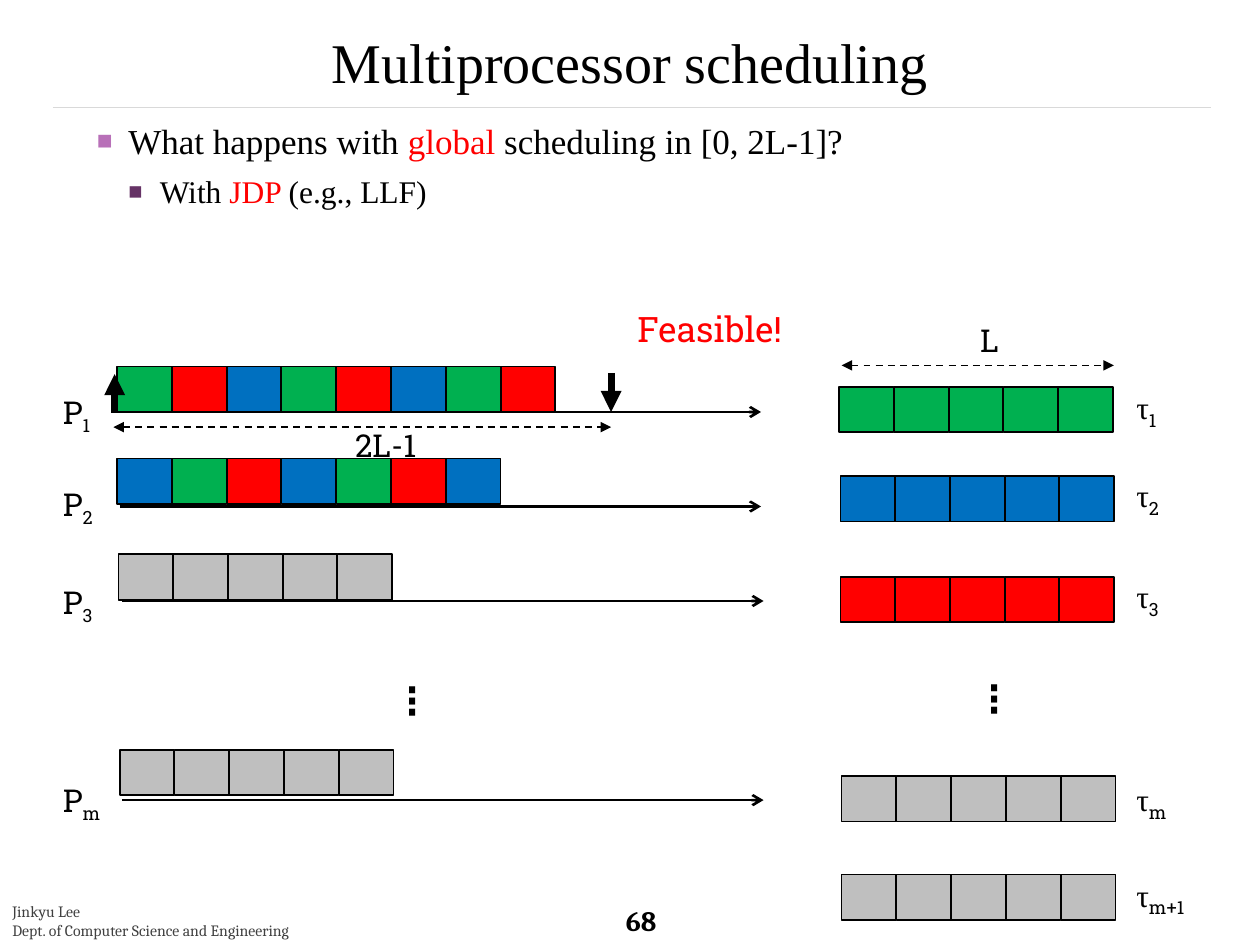
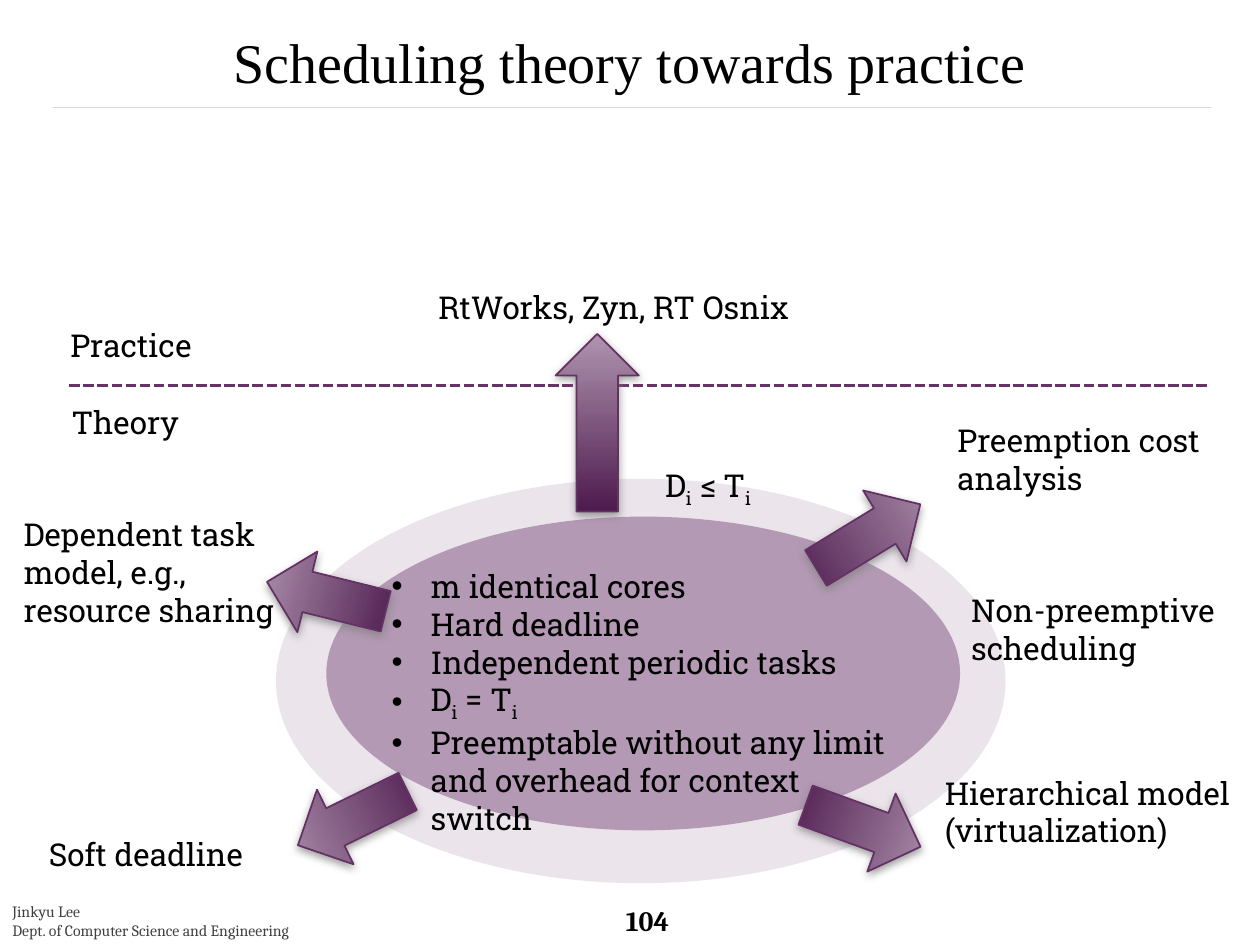
"""Build two slides on multiprocessor scheduling and its way into practice."""
from lxml.etree import SubElement
from pptx import Presentation
from pptx.dml.color import RGBColor
from pptx.enum.shapes import MSO_CONNECTOR, MSO_SHAPE
from pptx.enum.text import MSO_ANCHOR, PP_ALIGN
from pptx.oxml.ns import qn
from pptx.util import Inches, Pt

COLORS = {
    "black": "000000", "footer": "404040", "rule": "D9D9D9",
    "green": "00B050", "red": "FF0000", "blue": "0070C0", "gray": "BFBFBF",
    "plum": "663366", "orchid": "B870B8", "edge": "653165",
    "deep": "4D1A4D", "pale": "AF94AF", "shade": "808080",
}
SLAB, SERIF, CAMBRIA = "Roboto Slab", "Times New Roman", "Cambria"
COLUMNS, ROWS = 100, 75
CELL_WIDTH, CELL_HEIGHT, CELL_PITCH = 4.33, 3.6, 4.35
AXIS_LENGTH = 50.9
SCHEDULES = [
    ("1", 30.7, 9.5, 32.7, 9.3, 29.1, "green red blue green red blue green red"),
    ("2", 38, 9.5, 40.2, 9.3, 36.4, "blue green red blue green red blue"),
    ("3", 45.8, 9.7, 47.7, 9.4, 44, "gray " * 5),
    ("m", 61.5, 9.7, 63.5, 9.5, 59.5, "gray " * 5),
]
TASKS = [
    ("1", 30.3, 66.6, 30.7, "green"),
    ("2", 37.3, 66.7, 37.8, "blue"),
    ("3", 45.3, 66.7, 45.8, "red"),
    ("m", 61.4, 66.8, 61.6, "gray"),
    ("m+1", 69, 66.8, 69.4, "gray"),
]
OUTWARD_ARROWS = [
    (24.7, 60.1, 9.7, 63.9), (22.6, 42.5, 9.7, 103.9), (44.1, 26.5, 14.1, 180),
    (65.6, 37.7, 9.7, 238.6), (65.2, 60.7, 9.7, 289.9),
]
ASSUMPTIONS = [
    "m identical cores", "Hard deadline", "Independent periodic tasks",
    "D|i| = T|i", "Preemptable without any limit and overhead for context switch",
]
PRACTICE_LABELS = [
    (4.6, 25.4, 23.4, "Practice"),
    (4.7, 31.5, 23.4, "Theory"),
    (2.9, 65.8, 18.2, "Soft deadline"),
    (0.9, 40.4, 22.7, "Dependent task model, e.g., resource sharing"),
    (74, 60.9, 24.8, "Hierarchical model (virtualization)"),
    (75, 32.9, 22.7, "Preemption cost analysis"),
    (33.8, 22.4, 40.2, "RtWorks, Zyn, RT Osnix"),
    (51.8, 36.5, 22.7, "D|i| ≤ T|i"),
    (76.1, 46.4, 22.7, "Non-preemptive scheduling"),
]


def rgb(name):
    """Return a palette colour."""
    return RGBColor.from_string(COLORS[name])


def write(paragraph, text, size=18, font=SLAB, color="black", bold=False, accent=None):
    """Write text; parts between bars are subscripts, or take the accent colour."""
    for index, part in enumerate(text.split("|")):
        if not part:
            continue
        marked = index % 2 == 1
        run = paragraph.add_run()
        run.text = part
        run.font.size = Pt(size)
        run.font.bold = bold
        run.font.name = SLAB if marked and not accent else font
        run.font.color.rgb = rgb(accent if marked and accent else color)
        if marked and not accent:
            run._r.get_or_add_rPr().set("baseline", "-25000")


class Deck:
    """Hold the shared style and the current slide."""

    def __init__(self):
        """Start an empty presentation."""
        self.deck = Presentation()
        self.deck.slide_width, self.deck.slide_height = Inches(10), Inches(7.5)
        self.slide = None

    def place(self, x, y):
        """Turn grid columns and rows into lengths."""
        return (round(self.deck.slide_width * x / COLUMNS),
                round(self.deck.slide_height * y / ROWS))

    def start(self, title, number):
        """Add a slide with its title, rule, page number and footer."""
        self.slide = self.deck.slides.add_slide(self.deck.slide_layouts[6])
        self.line(4.2, 8.5, 96.1, 8.5, color="rule", width=0.1)
        self.text(48.7, 71.5, 6.6, 3.1, [number], anchor=MSO_ANCHOR.MIDDLE,
                  size=16, font=CAMBRIA, bold=True)
        self.text(0, 71.1, 27.6, 4,
                  ["Jinkyu Lee", "Dept. of Computer Science and Engineering"],
                  size=9, font=CAMBRIA, color="footer")
        self.text(0, 1.85, 100, 6, [title], anchor=MSO_ANCHOR.MIDDLE,
                  align=PP_ALIGN.CENTER, size=32, font=SERIF)

    def text(self, x, y, width, height, lines, anchor=MSO_ANCHOR.TOP,
             align=PP_ALIGN.LEFT, vertical=False, **style):
        """Add a text box and return its paragraphs."""
        frame = self.slide.shapes.add_textbox(
            *self.place(x, y), *self.place(width, height)).text_frame
        frame.word_wrap = True
        frame.vertical_anchor = anchor
        if vertical:
            frame._txBody.bodyPr.set("vert", "eaVert")
        for index, content in enumerate(lines):
            paragraph = frame.add_paragraph() if index else frame.paragraphs[0]
            paragraph.alignment = align
            write(paragraph, content, **style)
        return frame.paragraphs

    def bullet(self, paragraph, mark, margin, hanging, color="black", percent=100, before=0):
        """Give a paragraph a hanging bullet."""
        paragraph.space_before = Pt(before)
        properties = paragraph._p.get_or_add_pPr()
        properties.set("marL", str(Inches(margin)))
        properties.set("indent", str(-Inches(hanging)))
        tint = SubElement(properties, qn("a:buClr"))
        SubElement(tint, qn("a:srgbClr"), val=COLORS[color])
        SubElement(properties, qn("a:buSzPct"), val=str(percent * 1000))
        SubElement(properties, qn("a:buFont"), typeface="Arial")
        SubElement(properties, qn("a:buChar"), char=mark)

    def line(self, x1, y1, x2, y2, color="black", width=1, dash=None, head=None, tail=None):
        """Add a straight line with optional dashes and arrowheads."""
        line = self.slide.shapes.add_connector(
            MSO_CONNECTOR.STRAIGHT, *self.place(x1, y1), *self.place(x2, y2))
        line.line.color.rgb = rgb(color)
        line.line.width = Pt(width)
        stroke = line.line._get_or_add_ln()
        if dash:
            SubElement(stroke, qn("a:prstDash"), val=dash)
        for tag, kind in (("a:headEnd", head), ("a:tailEnd", tail)):
            if kind:
                SubElement(stroke, qn(tag), type=kind)
        SubElement(line._element.spPr, qn("a:effectLst"))

    def shape(self, kind, x, y, width, height, fill=None, edge=None, opacity=None):
        """Add a preset shape, plain unless a fill or an edge is named."""
        shape = self.slide.shapes.add_shape(
            kind, *self.place(x, y), *self.place(width, height))
        shape.shadow.inherit = False
        if fill:
            shape.fill.solid()
            shape.fill.fore_color.rgb = rgb(fill)
        if opacity:
            tint = shape._element.spPr.find(".//" + qn("a:srgbClr"))
            SubElement(tint, qn("a:alpha"), val=str(opacity * 1000))
        if edge:
            shape.line.color.rgb = rgb(edge)
            shape.line.width = Pt(1)
        else:
            shape.line.fill.background()
        return shape

    def cells(self, x, y, colors):
        """Add a row of unit time slots."""
        for index, color in enumerate(colors):
            self.shape(MSO_SHAPE.RECTANGLE, x + index * CELL_PITCH, y,
                       CELL_WIDTH, CELL_HEIGHT, fill=color, edge="black")

    def block_arrow(self, x, y, length, turn):
        """Add a shaded block arrow that is turned by some degrees."""
        arrow = self.shape(MSO_SHAPE.DOWN_ARROW, x, y, 6.6, length, edge="edge")
        arrow.rotation = turn
        arrow.fill.gradient()
        arrow.fill.gradient_angle = 270
        for stop, color in zip(arrow.fill.gradient_stops, ("deep", "pale")):
            stop.color.rgb = rgb(color)
        effects = arrow._element.spPr.find(qn("a:effectLst"))
        shadow = SubElement(effects, qn("a:outerShdw"), blurRad=str(Pt(5)),
                            dist=str(Pt(2)), dir="5400000", rotWithShape="0")
        tint = SubElement(shadow, qn("a:srgbClr"), val=COLORS["shade"])
        SubElement(tint, qn("a:alpha"), val="75000")


def multiprocessor_slide(deck):
    """Show global schedules on the left and their tasks on the right."""
    deck.start("Multiprocessor scheduling", "68")
    question, policy = deck.text(
        4.2, 9, 91.9, 64.4, ["What happens with |global| scheduling in [0, 2L-1]?", ""],
        size=20, font=SERIF, accent="red")
    write(policy, "With |JDP |(e.g., LLF)", font=SERIF, accent="red")
    deck.bullet(question, "■", 0.5, 0.25, "orchid", 75, before=6)
    deck.bullet(policy, "■", 0.75, 0.25, "plum", 75, before=6)

    for name, label_y, axis_x, axis_y, cells_x, cells_y, slots in SCHEDULES:
        deck.line(axis_x, axis_y, axis_x + AXIS_LENGTH, axis_y, width=1.5, tail="arrow")
        deck.cells(cells_x, cells_y, slots.split())
        deck.text(4, label_y, 6.4, 4, [f"P|{name}"])
    for name, label_y, cells_x, cells_y, color in TASKS:
        deck.cells(cells_x, cells_y, [color] * 5)
        deck.text(89.2, label_y, 7.8, 4, [f"τ|{name}"], font=SERIF)

    deck.line(9.1, 29.7, 9.1, 32.8, width=4, head="triangle")
    deck.line(48.5, 29.6, 48.5, 32.7, width=4, tail="triangle")
    for left, right, y in ((9, 48.5, 33.9), (66.8, 88.4, 29)):
        deck.line(left, y, right, y, dash="dash", head="triangle", tail="triangle")
    deck.text(27.2, 33.3, 10.8, 4, ["2L-1"])
    deck.text(76.8, 25, 10.8, 4, ["L"])
    for x, y in ((30.2, 53.3), (76.4, 53.1)):
        deck.text(x, y, 6.7, 8.3, ["…"], vertical=True, size=28, bold=True)
    deck.text(49.6, 23.9, 24.8, 4.4, ["Feasible!"], size=20, color="red")


def practice_slide(deck):
    """Show the basic assumptions and the ways that lead out of them."""
    deck.start("Scheduling theory towards practice", "104")
    deck.shape(MSO_SHAPE.OVAL, 21.9, 38, 57.9, 32.1, fill="plum", opacity=13)
    deck.shape(MSO_SHAPE.OVAL, 25.9, 41, 50.3, 24.9, fill="plum", opacity=42)
    deck.line(5.5, 30.6, 95.9, 30.6, color="plum", width=2, dash="sysDash")
    for arrow in OUTWARD_ARROWS:
        deck.block_arrow(*arrow)
    for assumption in deck.text(25.1, 44.5, 46.8, 22.2, ASSUMPTIONS):
        deck.bullet(assumption, "•", 0.81, 0.31)
    for x, y, width, label in PRACTICE_LABELS:
        deck.text(x, y, width, 4, [label])


def main():
    """Build and save the slides."""
    deck = Deck()
    multiprocessor_slide(deck)
    practice_slide(deck)
    deck.deck.save("out.pptx")


if __name__ == "__main__":
    main()
